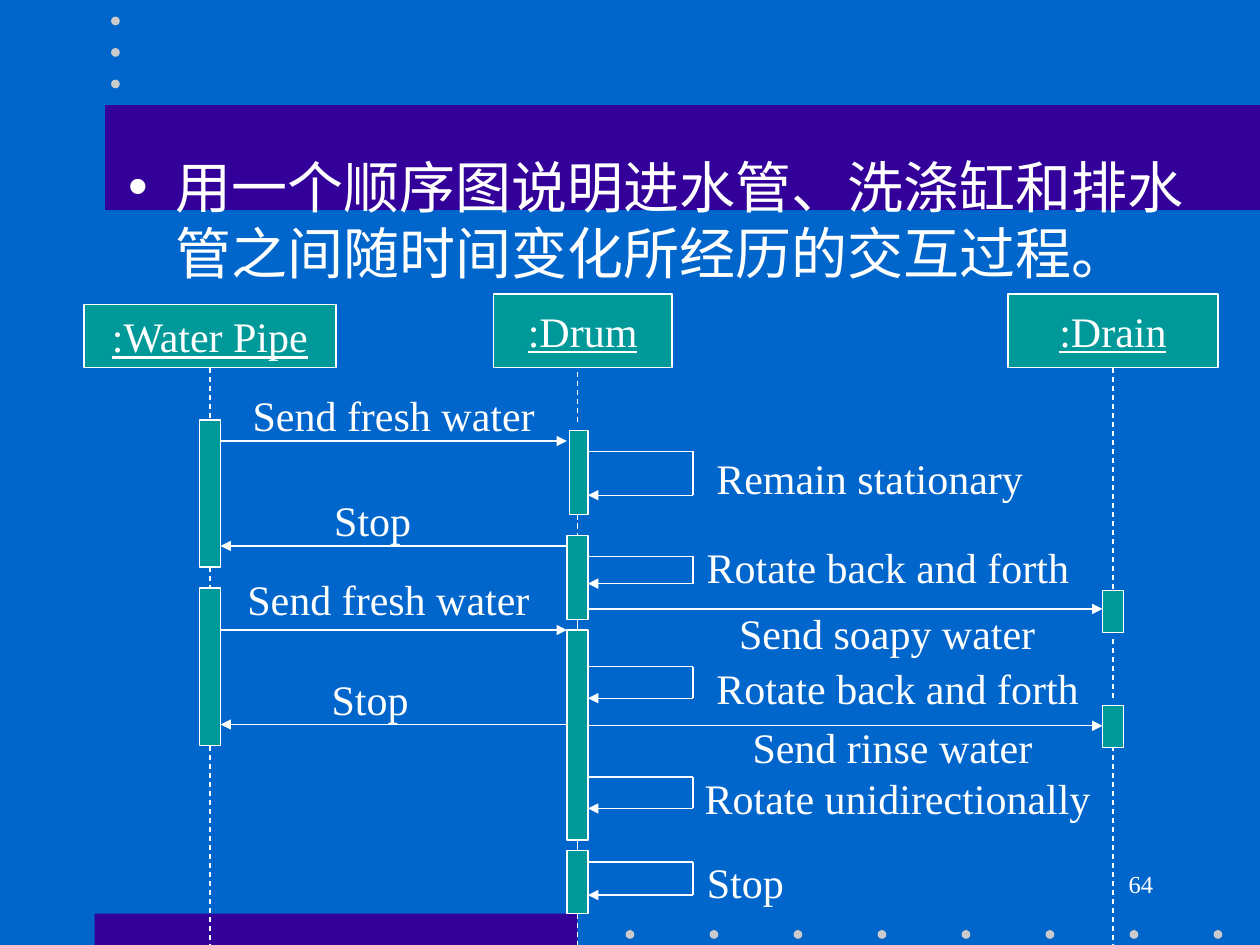
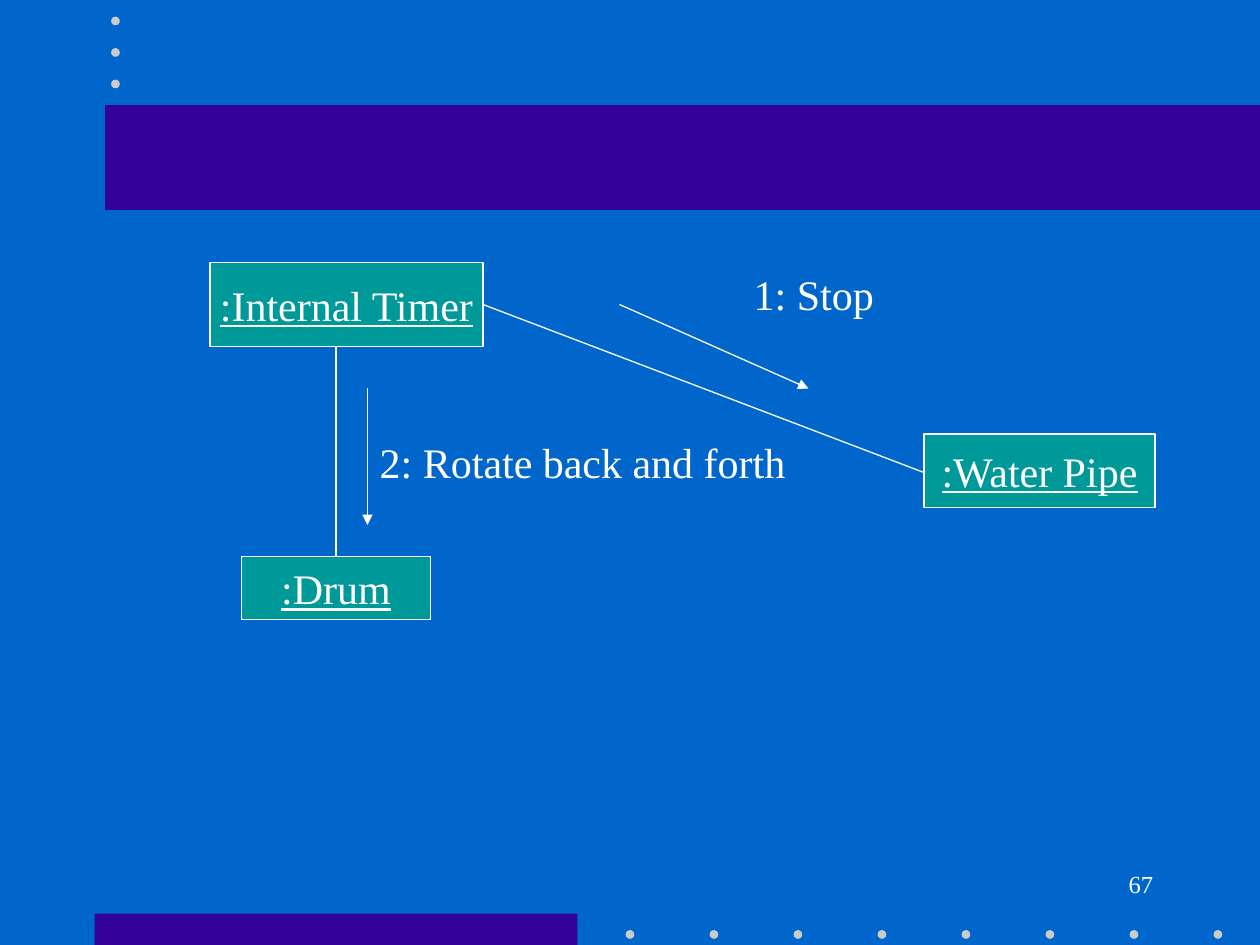
import pptx
import pptx.dml.color
import pptx.enum.dml
import pptx.enum.shapes
import pptx.enum.text
import pptx.oxml.ns
import pptx.util
from lxml import etree

Pt = pptx.util.Pt
Shape = pptx.enum.shapes.MSO_SHAPE
Align = pptx.enum.text.PP_ALIGN
Anchor = pptx.enum.text.MSO_ANCHOR

BLUE, PURPLE, TEAL = "0066CC", "330099", "009999"
WHITE, GREY = "FFFFFF", "CBCBCB"
LATIN, CHINESE = "Times New Roman", "Noto Sans CJK SC"
TITLE_AND_CONTENT, BLANK = 1, 6


def color(hex_string):
    return pptx.dml.color.RGBColor.from_string(hex_string)


def add_xml(parent, tag, **attributes):
    return etree.SubElement(parent, pptx.oxml.ns.qn(tag), attributes)


class Painter:
    def __init__(self, deck):
        self.deck = deck
        self.page = None

    def new_page(self, layout):
        self.page = self.deck.slides.add_slide(self.deck.slide_layouts[layout])

    def block(self, left, top, width, height, fill, outline=None, kind=Shape.RECTANGLE):
        box = self.page.shapes.add_shape(kind, Pt(left), Pt(top), Pt(width), Pt(height))
        box.shadow.inherit = False
        box.fill.solid()
        box.fill.fore_color.rgb = color(fill)
        if outline:
            box.line.color.rgb = color(outline)
            box.line.width = Pt(0.75)
        else:
            box.line.fill.background()
        return box

    def dot(self, left, top):
        self.block(left, top, 5, 5, GREY, kind=Shape.OVAL)

    def add_span(self, para, text, size, font=LATIN, underline=None):
        span = para.add_run()
        span.text = text
        span.font.size = Pt(size)
        span.font.name = font
        span.font.underline = underline
        span.font.color.rgb = color(WHITE)
        add_xml(span._r.get_or_add_rPr(), "a:ea", typeface=font)

    def center(self, box, text, underline=None):
        """Put one centred, unwrapped line in a box."""
        frame = box.text_frame
        frame.word_wrap = False
        frame.auto_size = pptx.enum.text.MSO_AUTO_SIZE.NONE
        frame.vertical_anchor = Anchor.MIDDLE
        para = frame.paragraphs[0]
        para.alignment = Align.CENTER
        self.add_span(para, text, 24, underline=underline)

    def instance(self, name, *place):
        """Draw a UML object with its underlined name."""
        self.center(self.block(*place, TEAL, WHITE), name, underline=True)

    def label(self, text, left, top, width, height):
        box = self.page.shapes.add_textbox(Pt(left), Pt(top), Pt(width), Pt(height))
        self.center(box, text)

    def line(self, x1, y1, x2, y2, arrow=False, dashed=False):
        link = self.page.shapes.add_connector(
            pptx.enum.shapes.MSO_CONNECTOR.STRAIGHT, Pt(x1), Pt(y1), Pt(x2), Pt(y2))
        link.line.color.rgb = color(WHITE)
        link.line.width = Pt(0.75)
        if dashed:
            link.line.dash_style = pptx.enum.dml.MSO_LINE.DASH
        if arrow:
            add_xml(link.line._get_or_add_ln(), "a:tailEnd", type="triangle")
        add_xml(link.element.spPr, "a:effectLst")

    def self_call(self, left, right, top, bottom):
        self.line(left, top, right, top)
        self.line(right, top, right, bottom)
        self.line(right, bottom, left, bottom, arrow=True)

    def bullet(self, text, left, top, width, height):
        """Use the body placeholder for one bulleted paragraph."""
        body = self.page.placeholders[1]
        body.left, body.top, body.width, body.height = map(Pt, (left, top, width, height))
        para = body.text_frame.paragraphs[0]
        props = para._p.get_or_add_pPr()
        props.set("marL", str(Pt(27)))
        props.set("indent", str(Pt(-27)))
        add_xml(add_xml(props, "a:buClr"), "a:srgbClr", val=WHITE)
        add_xml(props, "a:buChar", char="•")
        para.space_before = Pt(0)
        para.line_spacing = Pt(37.7)
        self.add_span(para, text, 32, CHINESE)

    def page_number(self, number):
        box = self.page.shapes.add_textbox(Pt(516), Pt(492), Pt(150), Pt(36))
        box.text_frame.word_wrap = True
        para = box.text_frame.paragraphs[0]
        para.alignment = Align.RIGHT
        para.line_spacing = 1.05
        self.add_span(para, str(number), 14)

    def dress_master(self):
        """Draw the bands and dots, then move them to the master."""
        master = self.deck.slide_master
        master.background.fill.solid()
        master.background.fill.fore_color.rgb = color(BLUE)
        self.block(54, 522, 276, 18, PURPLE)
        self.block(60, 60, 660, 60, PURPLE)
        for column in range(8):
            self.dot(357.5 + 48 * column, 531.5)
        for row in range(3):
            self.dot(63.5, 9.5 + 18 * row)
        decorations = [shape for shape in self.page.shapes if not shape.is_placeholder]
        for number, shape in enumerate(decorations, 100):
            shape.element.nvSpPr.cNvPr.set("id", str(number))
            master.element.cSld.spTree.append(shape.element)


def draw_sequence(painter):
    painter.bullet("用一个顺序图说明进水管、洗涤缸和排水管之间随时间变化所经历的交互过程。",
                   66, 84, 630, 438)
    painter.instance(":Water Pipe", 48, 174, 144, 36)
    painter.instance(":Drum", 282, 168, 102, 42)
    painter.instance(":Drain", 576, 168, 120, 42)

    pipe, drum, drain, half = 120, 330, 636, 6
    lifelines = {
        pipe: [(210, 240), (324, 336), (426, 540)],
        drum: [(212.5, 242.5), (294, 306), (522, 540)],
        drain: [(210, 342), (365, 401), (426, 540)],
    }
    for x, spans in lifelines.items():
        for top, bottom in spans:
            painter.line(x, top, x, bottom, dashed=True)
    for top in (354, 480):
        painter.line(drum, top, drum, top + 6)

    activations = {
        pipe: [(240, 324), (336, 426)],
        drum: [(306, 354), (360, 480), (486, 522)],
        drain: [(337.5, 361.5), (403, 427)],
    }
    painter.block(325.5, 246, 10.5, 48, TEAL, WHITE)
    for x, spans in activations.items():
        for top, bottom in spans:
            painter.block(x - half, top, 2 * half, bottom - top, TEAL, WHITE)

    for y in (252, 360):
        painter.line(pipe + half, y, drum - half, y, arrow=True)
    for y in (312, 414):
        painter.line(drum - half, y, pipe + half, y, arrow=True)
    for y in (348, 414.75):
        painter.line(drum + half, y, drain - half, y, arrow=True)
    for top, bottom in [(258, 283), (318, 333.5), (381, 399), (444, 462), (492.5, 511.5)]:
        painter.self_call(drum + half, 396, top, bottom)

    for label in [
        ("Send fresh water", 150, 228, 150, 18),
        ("Remain stationary", 406, 258, 182, 30),
        ("Stop", 162, 288, 102, 18),
        ("Rotate back and forth", 417.5, 312, 180, 24),
        ("Send fresh water", 144, 330, 156, 24),
        ("Send soapy water", 402, 349.5, 210, 24),
        ("Rotate back and forth", 408, 378, 210, 30),
        ("Stop", 178.5, 384, 66, 30),
        ("Send rinse water", 408, 414.5, 204, 24),
        ("Rotate unidirectionally", 414, 444, 198, 24),
        ("Stop", 408, 492, 36, 24),
    ]:
        painter.label(*label)
    painter.page_number(64)


def draw_collaboration(painter):
    painter.instance(":Internal Timer", 120, 150, 156, 48)
    painter.instance(":Drum", 138, 318, 108, 36)
    painter.instance(":Water Pipe", 528, 248, 132, 42)
    painter.line(192, 198, 192, 318)
    painter.line(276, 174, 528, 270)
    painter.line(210, 222, 210, 300, arrow=True)
    painter.line(354, 174, 462, 222, arrow=True)
    painter.label("1: Stop", 420, 150, 90, 36)
    painter.label("2: Rotate back and forth", 228, 246, 210, 36)
    painter.page_number(67)


def main():
    deck = pptx.Presentation()
    deck.slide_width, deck.slide_height = Pt(720), Pt(540)
    painter = Painter(deck)
    painter.new_page(TITLE_AND_CONTENT)
    title = painter.page.shapes.title.element
    title.getparent().remove(title)
    painter.dress_master()
    draw_sequence(painter)
    painter.new_page(BLANK)
    draw_collaboration(painter)
    deck.save("out.pptx")


if __name__ == "__main__":
    main()
